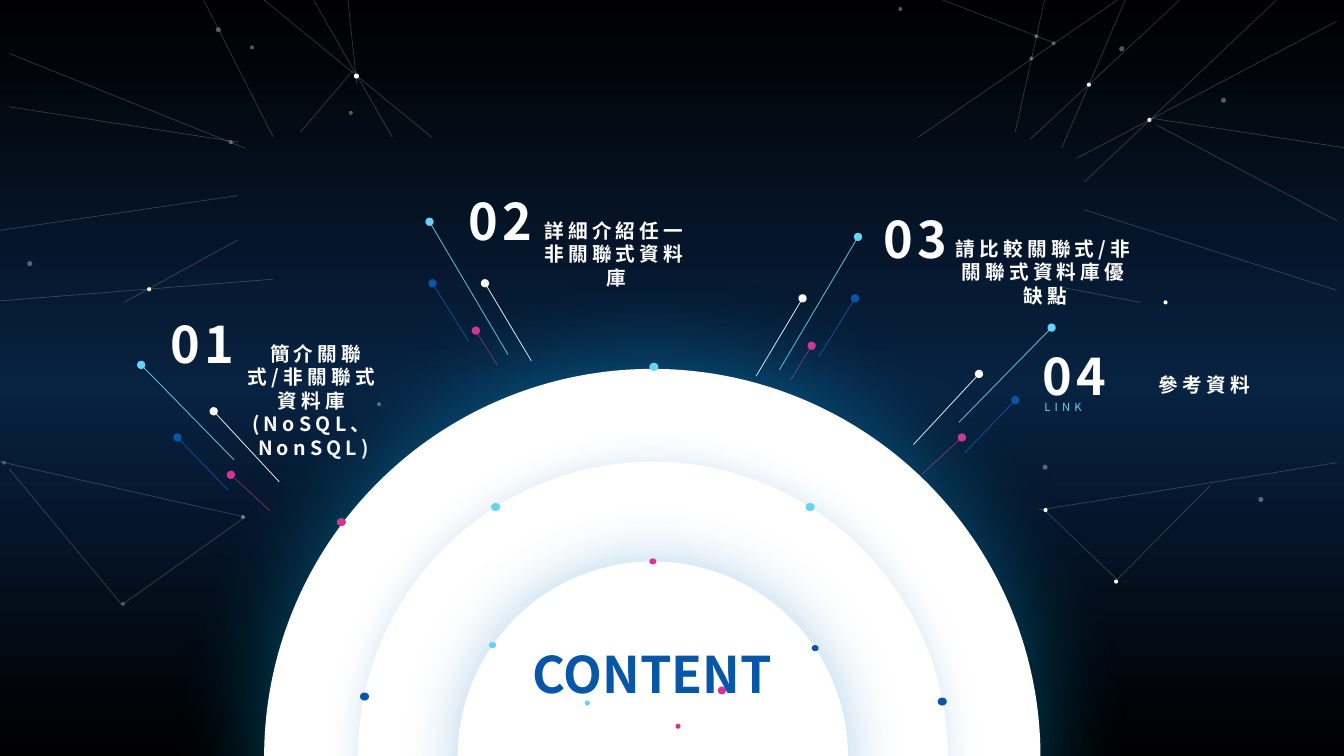
"""Builds the CONTENT agenda slide with its glowing dome and star field."""
from copy import deepcopy
from typing import NamedTuple, Optional

from lxml.etree import SubElement
from pptx import Presentation
from pptx.dml.color import RGBColor
from pptx.enum.shapes import MSO_CONNECTOR, MSO_SHAPE
from pptx.enum.text import MSO_AUTO_SIZE, PP_ALIGN
from pptx.oxml.ns import qn
from pptx.slide import Slide
from pptx.util import Inches, Pt

FONT = "Noto Sans CJK SC"
BLACK = RGBColor(0x00, 0x00, 0x00)
NAVY = RGBColor(0x08, 0x22, 0x41)
WHITE = RGBColor(0xFF, 0xFF, 0xFF)
SKY = RGBColor(0x65, 0xD3, 0xF6)
BLUE = RGBColor(0x07, 0x56, 0xA7)
PINK = RGBColor(0xD1, 0x36, 0x94)
AQUA = RGBColor(0x5D, 0xFF, 0xF9)
CYAN = RGBColor(0x00, 0xB0, 0xF0)
DEEP_BLUE = RGBColor(0x00, 0x70, 0xC0)


class Glow(NamedTuple):
    color: RGBColor
    opacity: int
    blur: float
    distance: float = 0
    direction: int = 0


class Dot(NamedTuple):
    left: float
    top: float
    width: float
    height: float
    color: RGBColor = WHITE
    opacity: int = 100
    glow: Optional[Glow] = None


class Ray(NamedTuple):
    x1: float
    y1: float
    x2: float
    y2: float
    color: RGBColor = WHITE
    weight: float = 0.5
    opacity: int = 100
    oval: bool = True

    def mirrored(self, x_sum: float, dy: float) -> "Ray":
        return self._replace(x1=x_sum - self.x1, x2=x_sum - self.x2,
                             y1=self.y1 + dy, y2=self.y2 + dy)


class Label(NamedTuple):
    text: str
    left: float
    top: float
    width: float
    height: float
    size: int
    color: RGBColor = WHITE
    bold: bool = True
    spacing: int = 3
    align: PP_ALIGN = PP_ALIGN.CENTER


STAR_GLOW = Glow(AQUA, 40, 23)

CONSTELLATION = [
    (2.02, 0, 2.71, 1.36), (2.62, 0, 4.28, 1.36), (3.11, 0, 3.89, 1.36),
    (3.45, 0, 3.54, 0.84), (3.5, 0.7, 2.98, 1.31), (0.09, 0.53, 2.43, 1.47),
    (0.09, 1.06, 2.36, 1.41), (-0.1, 2.3, 2.36, 1.94), (-0.19, 3, 2.71, 2.77),
    (1.23, 3, 2.36, 2.38), (0, 4.58, 2.43, 5.13), (0.09, 4.65, 1.21, 6),
    (1.21, 6, 2.43, 5.13), (9.35, 0, 10.44, 0.42), (10.36, 0, 10.07, 1.31),
    (11.08, 0, 9.11, 1.36), (11.7, 0, 10.22, 1.38), (11.16, 0, 10.53, 1.47),
    (13.26, 0.21, 10.68, 1.57), (12.66, 0, 10.75, 1.81),
    (11.47, 1.24, 13.26, 2.19), (11.4, 1.17, 13.36, 1.47),
    (10.75, 2.08, 13.26, 2.88), (10.53, 2.85, 11.31, 3),
    (10.3, 5.06, 13.26, 4.59), (10.36, 5.06, 11.08, 5.75),
    (11.08, 5.75, 12, 4.82),
]

STARS = [
    (3.51, 0.73, 0.05, 100), (3.46, 1.1, 0.04, 33), (2.48, 0.45, 0.04, 33),
    (2.14, 0.27, 0.05, 33), (0.27, 2.59, 0.05, 33), (2.27, 1.39, 0.04, 33),
    (1.46, 2.85, 0.04, 100), (3.74, 3.99, 0.04, 33), (2.39, 5.11, 0.04, 36),
    (0.02, 4.57, 0.04, 24), (1.2, 5.97, 0.04, 24), (11.1, 0.46, 0.05, 33),
    (8.91, 0.07, 0.04, 33), (10.26, 0.34, 0.04, 33), (10.43, 0.41, 0.04, 33),
    (10.21, 0.56, 0.04, 33), (10.78, 0.82, 0.04, 100), (11.38, 1.17, 0.04, 100),
    (12.11, 0.97, 0.05, 33), (11.54, 2.98, 0.04, 100), (10.34, 4.61, 0.05, 33),
    (12.48, 4.93, 0.05, 33), (11.05, 5.75, 0.04, 100), (10.35, 5.04, 0.04, 100),
]

OUTER_RAYS = [
    Ray(2.12, 4.08, 2.77, 4.78), Ray(1.4, 3.62, 2.32, 4.56, SKY),
    Ray(1.76, 4.34, 2.26, 4.86, BLUE), Ray(2.29, 4.71, 2.68, 5.07, PINK, 0.25),
]
INNER_RAYS = [
    Ray(4.81, 2.81, 5.27, 3.58), Ray(4.26, 2.2, 5.04, 3.52, SKY),
    Ray(4.29, 2.81, 4.65, 3.39, BLUE), Ray(4.72, 3.28, 4.93, 3.62, PINK, 0.25),
]

TOPICS = [
    ("01", 1.52, 3.06, " 簡介關聯式/非關聯式資料庫(NoSQL、NonSQL)", 2.29, 3.34, 1.64, 1.04),
    ("02", 4.47, 1.84, "詳細介紹任一非關聯式資料庫", 5.24, 2.12, 1.74, 0.81),
    ("03", 8.59, 2.02, "請比較關聯式/非關聯式資料庫優缺點", 9.36, 2.3, 2.01, 0.81),
    ("04", 10.17, 3.37, "參考資料", 10.94, 3.65, 2.01, 0.34),
]

DOME = [
    Dot(2.62, 3.66, 7.7, 7.7, glow=Glow(CYAN, 40, 71, 3, 270)),
    Dot(3.55, 4.58, 5.85, 5.85, glow=Glow(DEEP_BLUE, 17, 25)),
    Dot(4.54, 5.57, 3.87, 3.87, glow=Glow(DEEP_BLUE, 31, 42)),
]
DOME_BEADS = [
    Dot(4.85, 6.37, 0.07, 0.06, SKY), Dot(6.44, 5.54, 0.07, 0.06, PINK),
    Dot(8.05, 6.4, 0.07, 0.06, BLUE), Dot(7.12, 6.81, 0.08, 0.08, PINK),
    Dot(6.7, 7.18, 0.05, 0.05, PINK), Dot(5.8, 6.95, 0.05, 0.05, SKY),
    Dot(4.87, 4.99, 0.09, 0.08, SKY), Dot(3.57, 6.87, 0.09, 0.08, BLUE),
    Dot(7.99, 4.99, 0.09, 0.08, SKY), Dot(9.3, 6.92, 0.09, 0.08, BLUE),
]
RIM_BEADS = [Dot(3.34, 5.14, 0.09, 0.08, PINK), Dot(6.44, 3.6, 0.09, 0.08, SKY)]


def paint_background(slide: Slide) -> None:
    fill = slide.background.fill
    fill.gradient()
    fill.gradient_angle = 270
    stop_list = slide.element.find(".//" + qn("a:gsLst"))
    stop_list.append(deepcopy(stop_list[0]))
    for stop, (position, color) in zip(fill.gradient_stops,
                                       [(0, BLACK), (0.51, NAVY), (1, BLACK)]):
        stop.position = position
        stop.color.rgb = color


def set_opacity(properties, percent: int) -> None:
    if percent < 100:
        color = properties.find(".//" + qn("a:srgbClr"))
        SubElement(color, qn("a:alpha"), val=str(percent * 1000))


def draw_dot(slide: Slide, dot: Dot) -> None:
    disc = slide.shapes.add_shape(MSO_SHAPE.OVAL, Inches(dot.left), Inches(dot.top),
                                  Inches(dot.width), Inches(dot.height))
    disc.fill.solid()
    disc.fill.fore_color.rgb = dot.color
    disc.line.fill.background()
    disc.shadow.inherit = False
    properties = disc.element.spPr
    set_opacity(properties, dot.opacity)
    if dot.glow:
        glow = dot.glow
        outer = SubElement(properties.find(qn("a:effectLst")), qn("a:outerShdw"),
                           blurRad=str(Pt(glow.blur)), dist=str(Pt(glow.distance)),
                           dir=str(glow.direction * 60000), algn="ctr", rotWithShape="0")
        tint = SubElement(outer, qn("a:srgbClr"), val=str(glow.color))
        SubElement(tint, qn("a:alpha"), val=str(glow.opacity * 1000))


def draw_ray(slide: Slide, ray: Ray) -> None:
    line = slide.shapes.add_connector(MSO_CONNECTOR.STRAIGHT, Inches(ray.x1), Inches(ray.y1),
                                      Inches(ray.x2), Inches(ray.y2))
    line.line.width = Pt(ray.weight)
    line.line.color.rgb = ray.color
    properties = line.element.spPr
    set_opacity(properties, ray.opacity)
    if ray.oval:
        SubElement(properties.find(qn("a:ln")), qn("a:headEnd"), type="oval")
    SubElement(properties, qn("a:effectLst"))


def draw_label(slide: Slide, label: Label) -> None:
    frame = slide.shapes.add_textbox(Inches(label.left), Inches(label.top), Inches(label.width),
                                     Inches(label.height)).text_frame
    frame.word_wrap = True
    frame.auto_size = MSO_AUTO_SIZE.SHAPE_TO_FIT_TEXT
    paragraph = frame.paragraphs[0]
    paragraph.text = label.text
    paragraph.alignment = label.align
    paragraph.line_spacing = Pt(label.size * 1.2)
    font = paragraph.font
    font.name, font.size, font.bold = FONT, Pt(label.size), label.bold
    font.color.rgb = label.color
    defaults = frame._txBody.find(".//" + qn("a:defRPr"))
    defaults.set("spc", str(label.spacing * 100))
    SubElement(defaults, qn("a:ea"), typeface=FONT)


def main() -> None:
    deck = Presentation()
    deck.slide_width, deck.slide_height = Inches(13.33), Inches(7.5)
    slide = deck.slides.add_slide(deck.slide_layouts[6])
    paint_background(slide)
    for ends in CONSTELLATION:
        draw_ray(slide, Ray(*ends, opacity=20, oval=False))
    for left, top, size, opacity in STARS:
        draw_dot(slide, Dot(left, top, size, size, WHITE, opacity, STAR_GLOW))
    for rays, x_sum, dy in [(OUTER_RAYS, 11.83, -0.37), (INNER_RAYS, 12.77, 0.15)]:
        for ray in rays:
            draw_ray(slide, ray)
            draw_ray(slide, ray.mirrored(x_sum, dy))
    for number, left, top, title, *title_box in TOPICS:
        draw_label(slide, Label(number, left, top, 0.98, 0.71, 36))
        draw_label(slide, Label(title, *title_box, 14))
    draw_label(slide, Label("LINK", 10.26, 3.92, 2.66, 0.24, 8, SKY, False,
                            align=PP_ALIGN.JUSTIFY))
    for dot in DOME + DOME_BEADS:
        draw_dot(slide, dot)
    draw_label(slide, Label("CONTENT", 4.98, 6.33, 2.98, 0.71, 36, BLUE, spacing=0))
    for dot in RIM_BEADS:
        draw_dot(slide, dot)
    deck.save("out.pptx")


if __name__ == "__main__":
    main()
